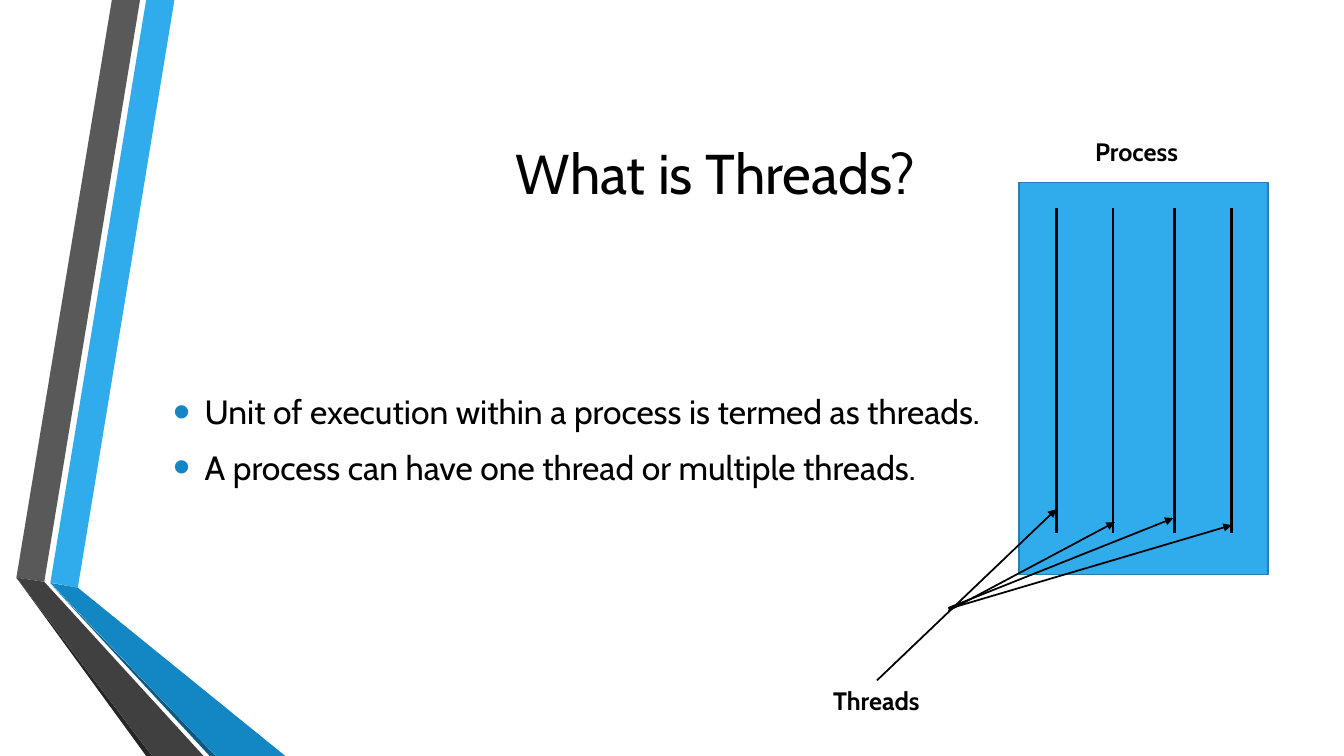
from lxml.etree import SubElement
from pptx import Presentation
from pptx.dml.color import RGBColor
from pptx.enum.shapes import MSO_CONNECTOR as Connector, MSO_SHAPE as Preset
from pptx.enum.text import MSO_ANCHOR as Anchor, PP_ALIGN as Align
from pptx.oxml.ns import qn
from pptx.util import Pt

FONT = "Cabin"
BLACK = "000000"
SKY = "30ACEC"
BLUE = "1287C3"
RIBBONS = [
    (SKY, [(36, 416.2), (55.6, 419.8), (124.6, 0), (104.4, 0)]),
    ("595959", [(100, 0), (79.9, 0), (11.7, 412.6), (31.6, 415.6)]),
    ("262626", [(11.7, 412.6), (104.4, 540), (108.7, 540)]),
    ("0C5A82", [(36, 416.9), (149.8, 540), (154.1, 540)]),
    (BLUE, [(36, 416.4), (154.1, 540), (203.8, 540), (55.6, 419.8)]),
    ("404040", [(11.7, 412.6), (108.7, 540), (145.4, 540), (31.6, 415.6)]),
]
THREAD_X = [754.6, 794.9, 838.8, 879.8]
POINTERS = [
    ((626.4, 486), (754.6, 363.6)),
    ((677.5, 436.3), (796.3, 373)),
    ((677.5, 434.2), (838.1, 370.1)),
    ((677.5, 434.9), (879.8, 375.1)),
]
BULLETS = [
    "Unit of execution within a process is termed as threads.",
    "A process can have one thread or multiple threads.",
]


def color(value):
    """Turn a hex string into a colour."""
    return RGBColor.from_string(value)


def paint(shape, fill, line=None, width=1.25):
    """Fill a shape and set its outline, without a shadow."""
    shape.shadow.inherit = False
    shape.fill.solid()
    shape.fill.fore_color.rgb = color(fill)
    if line:
        shape.line.color.rgb = color(line)
        shape.line.width = Pt(width)
    else:
        shape.line.fill.background()


def format_paragraph(paragraph, size, align, bold=False):
    """Align a paragraph and set the font of its runs."""
    paragraph.alignment = align
    for run in paragraph.runs:
        run.font.name = FONT
        run.font.size = Pt(size)
        run.font.bold = bold
        run.font.color.rgb = color(BLACK)


def place(shape, left, top, width, height):
    """Set the position and size of a shape."""
    shape.left, shape.top = Pt(left), Pt(top)
    shape.width, shape.height = Pt(width), Pt(height)


def add_ribbon(slide, fill, points):
    """Draw one facet of the folded ribbon."""
    corners = [(Pt(x), Pt(y)) for x, y in points]
    builder = slide.shapes.build_freeform(*corners[0])
    builder.add_line_segments(corners[1:])
    paint(builder.convert_to_shape(), fill)


def add_line(slide, start, end, width, arrow=False):
    """Draw a black line, optionally with an arrowhead at its end."""
    ends = [Pt(value) for value in (*start, *end)]
    connector = slide.shapes.add_connector(Connector.STRAIGHT, *ends)
    connector.line.color.rgb = color(BLACK)
    connector.line.width = Pt(width)
    if arrow:
        SubElement(connector.line._get_or_add_ln(), qn("a:tailEnd"), type="triangle")
    SubElement(connector._element.spPr, qn("a:effectLst"))


def add_text_box(slide, left, top, width, height):
    """Add a wrapping text box and return its text frame."""
    box = slide.shapes.add_textbox(Pt(left), Pt(top), Pt(width), Pt(height))
    box.text_frame.word_wrap = True
    return box.text_frame


def add_label(slide, text, left, top, width):
    """Add a bold centred label."""
    frame = add_text_box(slide, left, top, width, 29)
    frame.text = text
    format_paragraph(frame.paragraphs[0], 18, Align.CENTER, bold=True)


def add_bullet(paragraph):
    """Give a paragraph a hanging blue bullet."""
    properties = paragraph._p.get_or_add_pPr()
    properties.set("marL", str(Pt(22.5)))
    properties.set("indent", str(-Pt(22.5)))
    bullet_color = SubElement(properties, qn("a:buClr"))
    SubElement(bullet_color, qn("a:srgbClr"), val=BLUE)
    SubElement(properties, qn("a:buSzPct"), val="145000")
    SubElement(properties, qn("a:buFont"), typeface="Arial")
    SubElement(properties, qn("a:buChar"), char="•")


def add_bullets(slide, texts):
    """Add the bulleted statements."""
    frame = add_text_box(slide, 116.6, 210.2, 789.1, 207)
    frame.vertical_anchor = Anchor.MIDDLE
    frame.text = "\n".join(texts)
    for paragraph in frame.paragraphs:
        format_paragraph(paragraph, 24, Align.LEFT)
        paragraph.space_before = Pt(4.8)
        paragraph.space_after = Pt(6)
        add_bullet(paragraph)


def set_title(slide, text):
    """Place and format the slide title."""
    title = slide.shapes.title
    place(title, 116.6, 54, 789.1, 138.2)
    title.text_frame.text = text
    title.text_frame.vertical_anchor = Anchor.MIDDLE
    format_paragraph(title.text_frame.paragraphs[0], 40, Align.CENTER)


def add_process(slide):
    """Draw the process block with its threads and pointers."""
    block = slide.shapes.add_shape(
        Preset.RECTANGLE, Pt(727.9), Pt(130.3), Pt(177.8), Pt(280.1))
    paint(block, SKY, "247FAF")
    for x in THREAD_X:
        add_line(slide, (x, 148.3), (x, 380.9), 1.75)
    add_label(slide, "Process", 743.8, 93.6, 136.1)
    for start, end in POINTERS:
        add_line(slide, start, end, 1.25, arrow=True)
    add_label(slide, "Threads", 547.9, 486, 156.2)


def main():
    """Build and save the slide."""
    presentation = Presentation()
    presentation.slide_width, presentation.slide_height = Pt(960), Pt(540)
    slide = presentation.slides.add_slide(presentation.slide_layouts[5])
    for fill, points in RIBBONS:
        add_ribbon(slide, fill, points)
    set_title(slide, "What is Threads?")
    add_bullets(slide, BULLETS)
    add_process(slide)
    presentation.save("out.pptx")


main()
